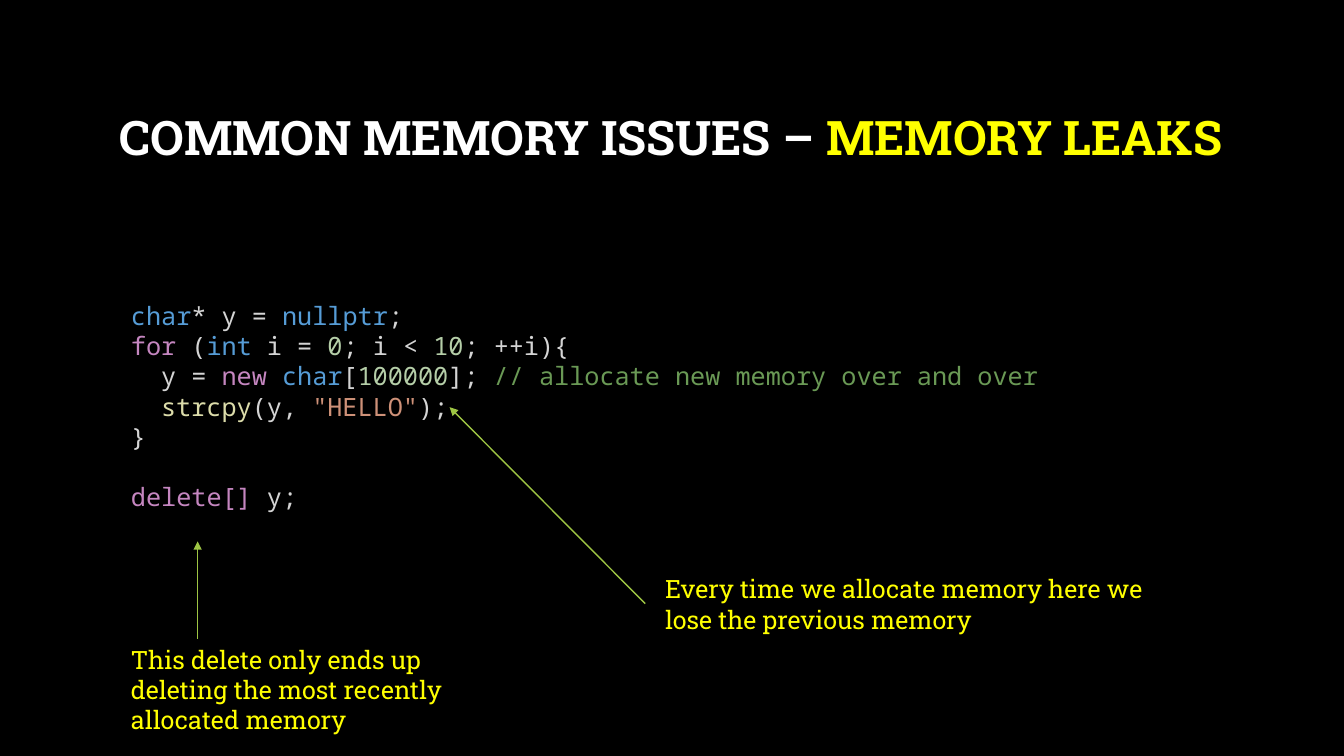
from pptx import Presentation
from pptx.dml.color import RGBColor
from pptx.enum.shapes import MSO_CONNECTOR
from pptx.enum.text import MSO_ANCHOR, PP_ALIGN
from pptx.oxml import parse_xml
from pptx.oxml.ns import nsdecls, qn
from pptx.util import Cm, Pt
from lxml import etree

BLACK = RGBColor(0x00, 0x00, 0x00)
WHITE = RGBColor(0xFF, 0xFF, 0xFF)
YELLOW = RGBColor(0xFF, 0xFF, 0x00)
GREEN = RGBColor(0x9E, 0xC5, 0x44)
PLAIN = RGBColor(0xD4, 0xD4, 0xD4)
TYPE = RGBColor(0x56, 0x9C, 0xD6)
KEYWORD = RGBColor(0xC5, 0x86, 0xC0)
NUMBER = RGBColor(0xB5, 0xCE, 0xA8)
COMMENT = RGBColor(0x6A, 0x99, 0x55)
FUNCTION = RGBColor(0xDC, 0xDC, 0xAA)
STRING = RGBColor(0xCE, 0x91, 0x78)

HEADING_FONT = "Roboto Slab"
CODE_FONT = "Noto Sans Mono"
LINE_HEIGHT = Pt(21.6)
CODE_INDENT = Cm(0.76)  # two characters of code

prs = Presentation()
prs.slide_width, prs.slide_height = Cm(33.87), Cm(19.05)
slide = prs.slides.add_slide(prs.slide_layouts[6])
slide.background.fill.solid()
slide.background.fill.fore_color.rgb = BLACK


def add_text(left, top, width, height, lines, font_name, size=18):
    """Add a text box; each line is a list of (text, colour) pairs."""
    frame = slide.shapes.add_textbox(Cm(left), Cm(top), Cm(width), Cm(height)).text_frame
    frame.word_wrap = True
    for number, line in enumerate(lines):
        paragraph = frame.add_paragraph() if number else frame.paragraphs[0]
        paragraph.font.name = font_name
        paragraph.font.size = Pt(size)
        for text, colour in line:
            run = paragraph.add_run()
            run.text = text
            run.font.color.rgb = colour
    return frame


# Title
title = add_text(2.54, 1.7, 28.75, 3.68, [
    [("COMMON MEMORY ISSUES – ", WHITE), ("MEMORY LEAKS", YELLOW)],
], HEADING_FONT, 34)
title.vertical_anchor = MSO_ANCHOR.MIDDLE
heading = title.paragraphs[0]
heading.alignment = PP_ALIGN.CENTER
heading.line_spacing = 0.9
heading.font.bold = True

# Code listing
code = add_text(3.05, 7.44, 25.22, 5.64, [
    [("char", TYPE), ("* y = ", PLAIN), ("nullptr", TYPE), (";", PLAIN)],
    [("for", KEYWORD), (" (", PLAIN), ("int ", TYPE), ("i = ", PLAIN), ("0", NUMBER),
     ("; i < ", PLAIN), ("10", NUMBER), ("; ++i){", PLAIN)],
    [("y = ", PLAIN), ("new ", KEYWORD), ("char", TYPE), ("[", PLAIN), ("100000", NUMBER),
     ("];", PLAIN), (" // allocate new memory over and over", COMMENT)],
    [("strcpy", FUNCTION), ("(y, ", PLAIN), ('"HELLO"', STRING), (");", PLAIN)],
    [("}", PLAIN)],
    [("delete[]", KEYWORD), (" y;", PLAIN)],
], CODE_FONT)
for loop_line in code.paragraphs[2:4]:
    properties = loop_line._p.get_or_add_pPr()
    properties.set("marL", str(CODE_INDENT))
    properties.set("indent", "0")
code.paragraphs[-1].space_before = LINE_HEIGHT

# Explanations
for left, top, width, height, explanation in [
    (16.51, 14.33, 12.9, 1.8, "Every time we allocate memory here we lose the previous memory"),
    (3.05, 16.1, 9.25, 2.57, "This delete only ends up deleting the most recently allocated memory"),
]:
    add_text(left, top, width, height, [[(explanation, YELLOW)]], HEADING_FONT)

# Arrows from the explanations to the code
for start_x, start_y, end_x, end_y in [(16.26, 15.21, 11.33, 10.26), (4.98, 16.1, 4.98, 13.64)]:
    arrow = slide.shapes.add_connector(
        MSO_CONNECTOR.STRAIGHT, Cm(start_x), Cm(start_y), Cm(end_x), Cm(end_y))
    arrow.line.color.rgb = GREEN
    arrow.line.width = Pt(1)
    etree.SubElement(arrow.line._get_or_add_ln(), qn("a:tailEnd"), type="triangle")
    arrow._element.spPr.append(parse_xml(f"<a:effectLst {nsdecls('a')}/>"))

prs.save("out.pptx")
